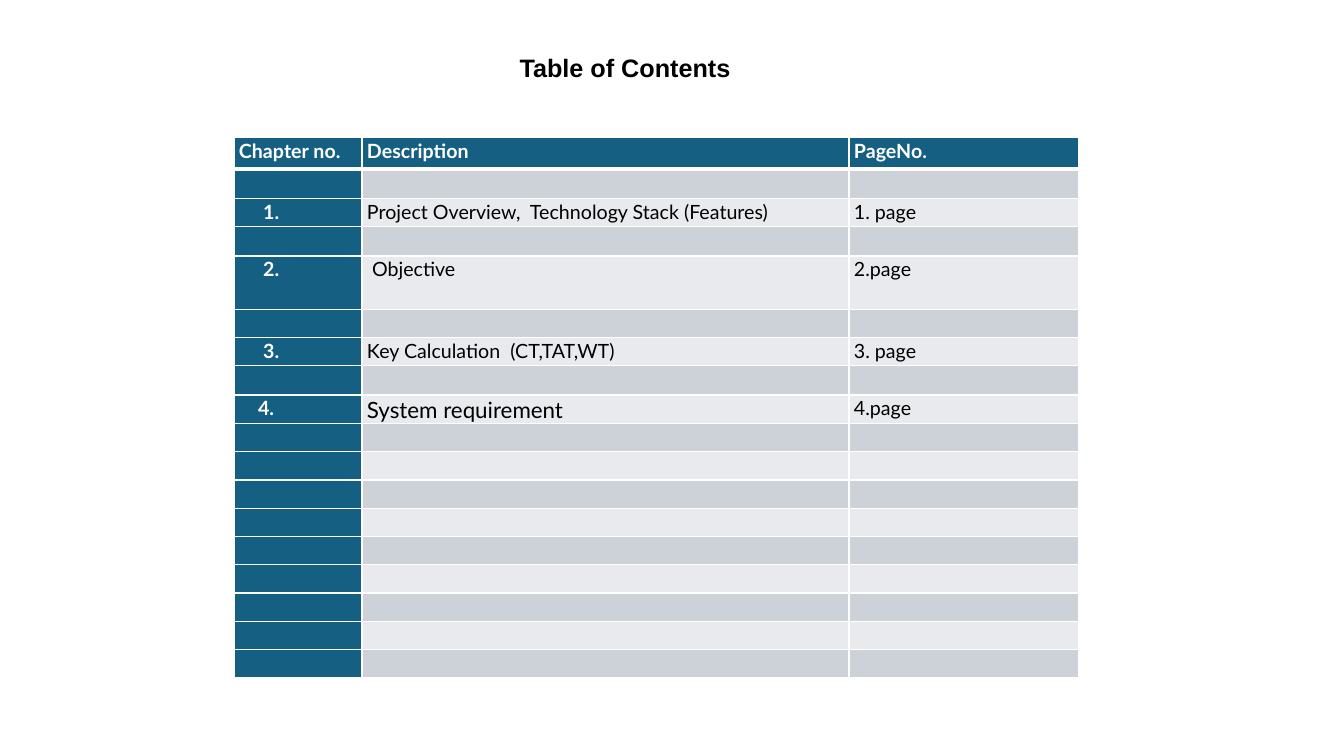
from lxml import etree
from pptx import Presentation
from pptx.dml.color import RGBColor
from pptx.enum import text
from pptx.oxml import ns
from pptx.util import Inches, Pt

COLORS = {"accent": "156082", "dark_band": "CCD2D8", "light_band": "E8EAED",
          "white": "FFFFFF", "black": "000000"}
COLUMNS = [1.27, 4.83, 2.28]
HEADER = ["Chapter no.", "Description", "PageNo."]
CHAPTERS = {
    2: ["1.", "Project Overview,  Technology Stack (Features)", "1. page"],
    4: ["2.", "Objective", "2.page"],
    6: ["3.", "Key Calculation  (CT,TAT,WT)", "3. page"],
    8: ["4.", "System requirement", "4.page"],
}
ROW_COUNT = 18
ROW_HEIGHT = 0.28
TALL_ROWS = {0: 0.32, 1: 0.29, 3: 0.29, 4: 0.53, 7: 0.29}
INDENTS = {(2, 0): 0.24, (4, 0): 0.24, (6, 0): 0.24, (8, 0): 0.19, (4, 1): 0.05}
SIZES = {(8, 1): 16}


def write(tf, content, font="Lato", size=14, color="black", bold=False,
          align=text.PP_ALIGN.LEFT, spacing=1.07):
    """Write one formatted paragraph into a text frame."""
    p = tf.paragraphs[0]
    p.alignment = align
    p.line_spacing = spacing
    if not content:
        p._p.get_or_add_endParaRPr().set("sz", str(size * 100))
        return
    r = p.add_run()
    r.text = content
    r.font.name = font
    r.font.size = Pt(size)
    r.font.bold = bold
    r.font.color.rgb = RGBColor.from_string(COLORS[color])


def add_borders(cell, bottom):
    """Draw white borders round a cell, with the bottom width in points."""
    tc_pr = cell._tc.get_or_add_tcPr()
    for side, width in zip("LRTB", (1, 1, 1, bottom)):
        ln = etree.SubElement(tc_pr, ns.qn("a:ln" + side), w=str(Pt(width)))
        fill = etree.SubElement(ln, ns.qn("a:solidFill"))
        etree.SubElement(fill, ns.qn("a:srgbClr"), val=COLORS["white"])


def add_title(slide, left, top, width, height):
    """Add the centred heading in the given box."""
    tf = slide.shapes.add_textbox(*map(Inches, (left, top, width, height))).text_frame
    tf.word_wrap = True
    tf.vertical_anchor = text.MSO_ANCHOR.MIDDLE
    write(tf, "Table of Contents", font="Arial", size=18, bold=True,
          align=text.PP_ALIGN.CENTER, spacing=1.0)


def add_contents(slide, left, top):
    """Add the banded chapter table with its corner at the given point."""
    heights = [TALL_ROWS.get(row, ROW_HEIGHT) for row in range(ROW_COUNT)]
    box = map(Inches, (left, top, sum(COLUMNS), sum(heights)))
    table = slide.shapes.add_table(ROW_COUNT, len(COLUMNS), *box).table
    table.first_col = True
    for column, width in zip(table.columns, COLUMNS):
        column.width = Inches(width)
    for row, height in enumerate(heights):
        table.rows[row].height = Inches(height)
        entries = HEADER if row == 0 else CHAPTERS.get(row, [""] * len(COLUMNS))
        for col, entry in enumerate(entries):
            cell = table.cell(row, col)
            accent = row == 0 or col == 0
            band = "dark_band" if row % 2 else "light_band"
            add_borders(cell, bottom=3 if row == 0 else 1)
            cell.fill.solid()
            cell.fill.fore_color.rgb = RGBColor.from_string(
                COLORS["accent" if accent else band])
            cell.margin_left = Inches(0.05 + INDENTS.get((row, col), 0))
            cell.margin_right = Inches(0.05)
            cell.margin_top = cell.margin_bottom = 0
            write(cell.text_frame, entry, size=SIZES.get((row, col), 14),
                  color="white" if accent else "black", bold=accent)


def main():
    """Build the contents slide and save it."""
    prs = Presentation()
    prs.slide_width, prs.slide_height = Inches(13.33), Inches(7.5)
    slide = prs.slides.add_slide(prs.slide_layouts[6])
    add_contents(slide, 2.32, 1.36)
    add_title(slide, 4.2, 0.47, 4, 0.4)
    prs.save("out.pptx")


if __name__ == "__main__":
    main()
